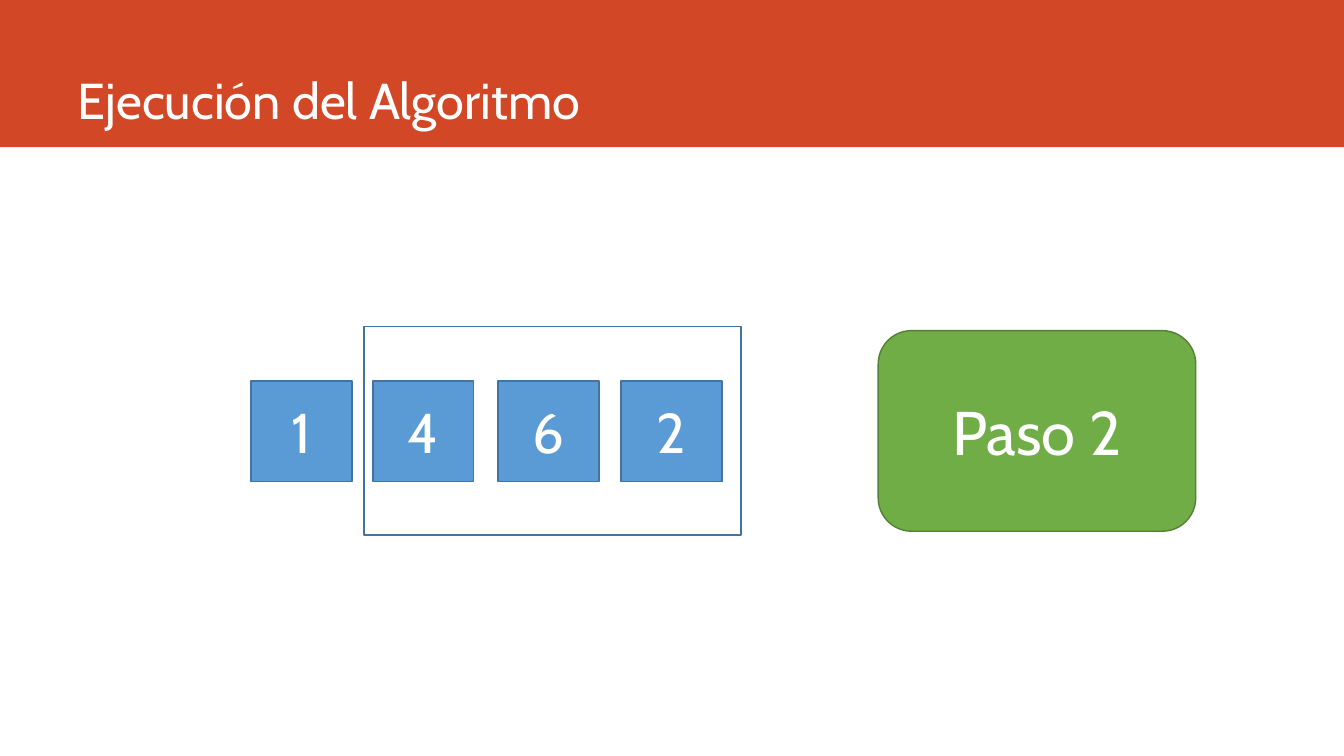
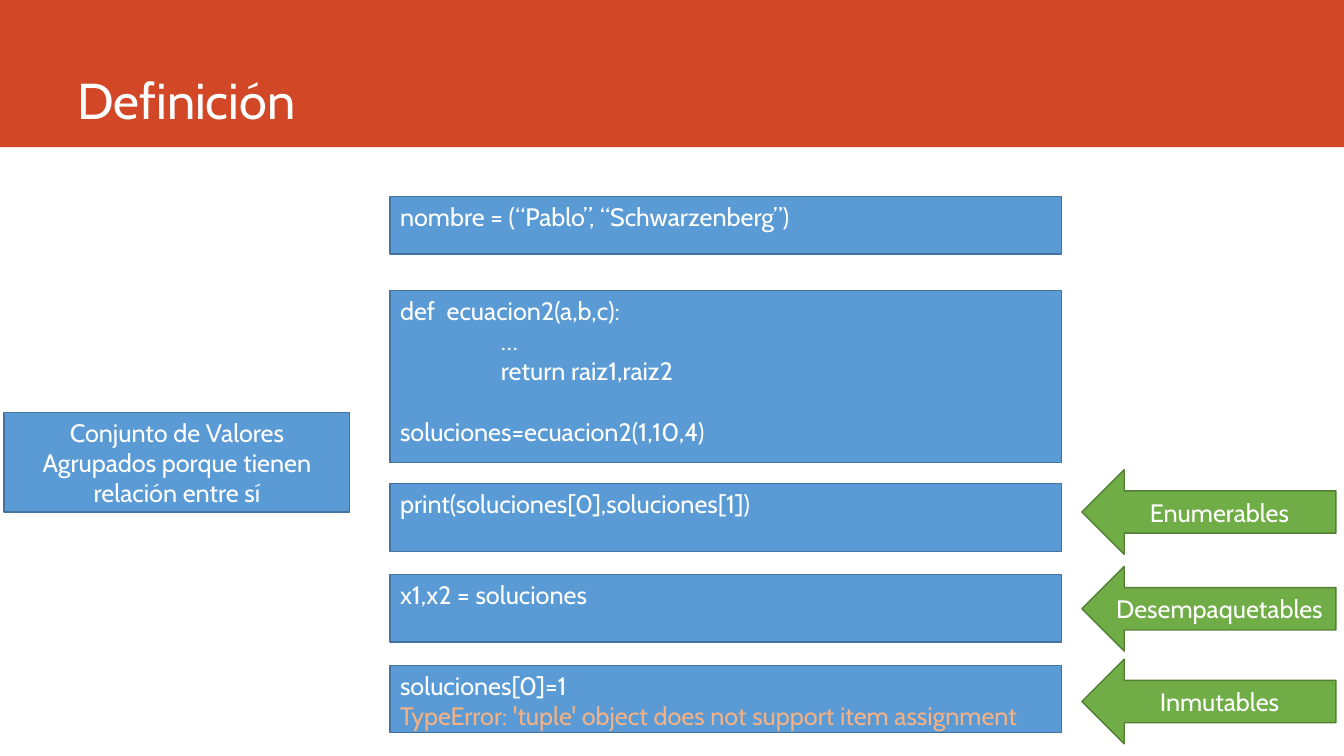
from pptx import Presentation
from pptx.dml.color import RGBColor
from pptx.enum.shapes import MSO_SHAPE
from pptx.enum.text import MSO_ANCHOR, MSO_AUTO_SIZE, PP_ALIGN
from pptx.util import Inches, Pt

FONT = "Cabin"
WHITE, RED, PEACH = "FFFFFF", "D24726", "F4B183"
BLUE, BLUE_LINE = "5B9BD5", "43739E"
GREEN, GREEN_LINE = "70AD47", "538035"


def rgb(color):
    return RGBColor.from_string(color)


class Deck:
    def __init__(self):
        self.prs = Presentation()
        self.prs.slide_width, self.prs.slide_height = Inches(13.33), Inches(7.5)
        self.s = None

    def style(self, p, size, color=WHITE, align=PP_ALIGN.LEFT):
        p.alignment = align
        for r in p.runs:
            r.font.name, r.font.size = FONT, Pt(size)
            r.font.color.rgb = rgb(color)

    def slide(self, title):
        """Add a slide with the red band behind its title."""
        self.s = self.prs.slides.add_slide(self.prs.slide_layouts[5])
        band = self.shape(0, 0, 13.33, 1.46, RED)
        self.s.shapes._spTree.insert(2, band._element)
        sp = self.s.shapes.title
        sp.left, sp.top = Inches(0.67), Inches(0)
        sp.width, sp.height = Inches(11.75), Inches(1.34)
        tf = sp.text_frame
        tf.text = title
        tf.auto_size = MSO_AUTO_SIZE.NONE
        tf.vertical_anchor = MSO_ANCHOR.BOTTOM
        self.style(tf.paragraphs[0], 36)

    def shape(self, x, y, w, h, fill=None, line=None, kind=MSO_SHAPE.RECTANGLE):
        sp = self.s.shapes.add_shape(kind, Inches(x), Inches(y), Inches(w), Inches(h))
        sp.shadow.inherit = False
        if fill:
            sp.fill.solid()
            sp.fill.fore_color.rgb = rgb(fill)
        else:
            sp.fill.background()
        if line:
            sp.line.color.rgb = rgb(line)
            sp.line.width = Pt(1)
        else:
            sp.line.fill.background()
        return sp

    def label(self, sp, text, size):
        tf = sp.text_frame
        tf.text = text
        tf.word_wrap = True
        tf.vertical_anchor = MSO_ANCHOR.MIDDLE
        self.style(tf.paragraphs[0], size, align=PP_ALIGN.CENTER)

    def blue_box(self, x, y, w, h, text, size):
        self.label(self.shape(x, y, w, h, BLUE, BLUE_LINE), text, size)

    def green_shape(self, kind, x, y, w, h, text, size):
        self.label(self.shape(x, y, w, h, GREEN, GREEN_LINE, kind), text, size)

    def code(self, y, h, lines):
        """Add a code box and return its paragraphs."""
        tf = self.shape(3.87, y, 6.66, h, BLUE, BLUE_LINE).text_frame
        tf.text = "\n".join(lines)
        tf.word_wrap = True
        tf.vertical_anchor = MSO_ANCHOR.TOP
        for p in tf.paragraphs:
            self.style(p, 18)
        return tf.paragraphs


def build_execution(deck):
    deck.slide("Ejecución del Algoritmo")
    for x, number in zip((2.49, 3.7, 4.94, 6.16), "1462"):
        deck.blue_box(x, 3.78, 1, 1, number, 40)
    deck.shape(3.61, 3.24, 3.74, 2.07, line=BLUE_LINE)
    deck.green_shape(MSO_SHAPE.ROUNDED_RECTANGLE, 8.71, 3.28, 3.15, 1.99, "Paso 2", 44)


def build_definition(deck):
    deck.slide("Definición")
    deck.blue_box(0.04, 4.09, 3.43, 0.99,
                  "Conjunto de Valores Agrupados porque tienen relación entre sí", 18)
    deck.code(1.95, 0.57, ["nombre = (“Pablo”, “Schwarzenberg”)"])
    function = deck.code(2.88, 1.71, ["def  ecuacion2(a,b,c):", "…", "return raiz1,raiz2",
                                      "soluciones=ecuacion2(1,10,4)"])
    for p in function[1:3]:
        p._p.get_or_add_pPr().set("marL", str(Inches(1)))
    function[3].space_before = Pt(21.6)

    deck.code(4.8, 0.67, ["print(soluciones[0],soluciones[1])"])
    deck.code(5.7, 0.67, ["x1,x2 = soluciones"])
    error = deck.code(6.6, 0.67, ["soluciones[0]=1",
                                  "TypeError: 'tuple' object does not support item assignment"])
    deck.style(error[1], 18, PEACH)

    for y, trait in ((4.66, "Enumerables"), (5.62, "Desempaquetables"), (6.54, "Inmutables")):
        deck.green_shape(MSO_SHAPE.LEFT_ARROW, 10.73, y, 2.52, 0.84, trait, 18)


def main():
    deck = Deck()
    build_execution(deck)
    build_definition(deck)
    deck.prs.save("out.pptx")


if __name__ == "__main__":
    main()
